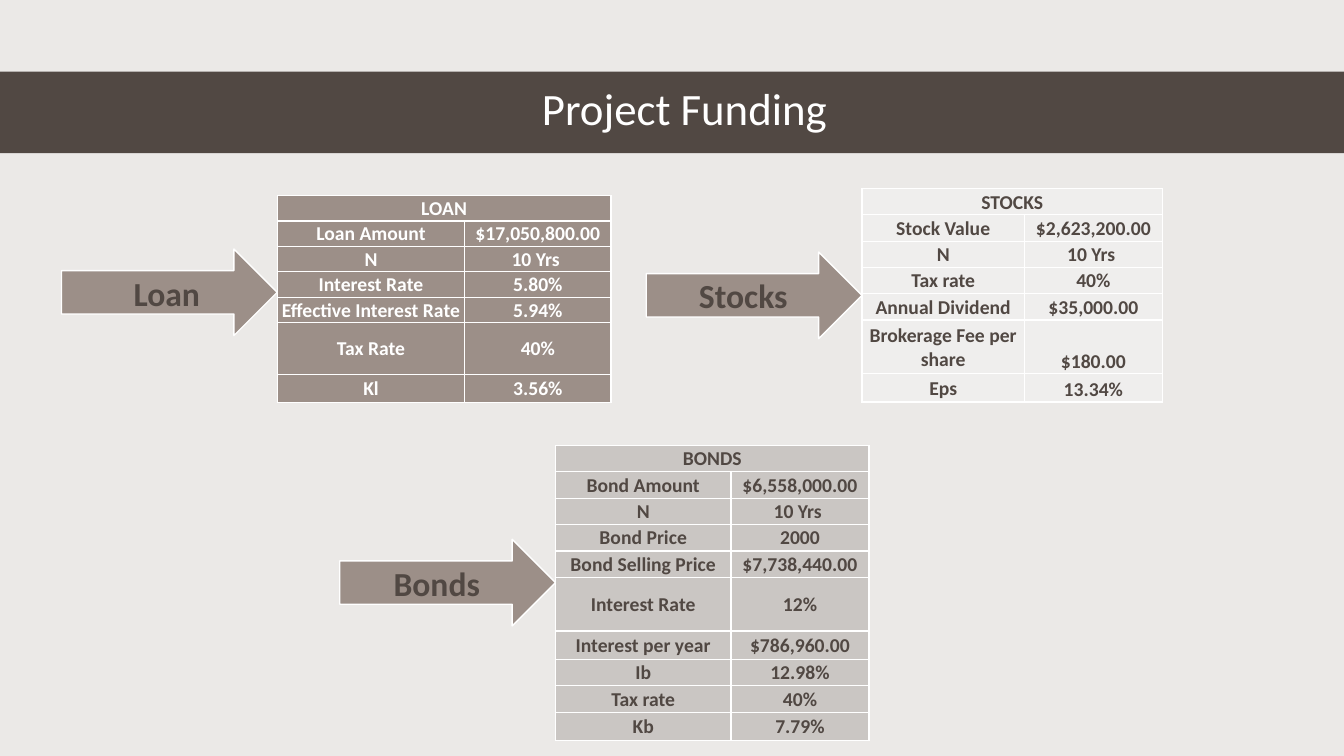
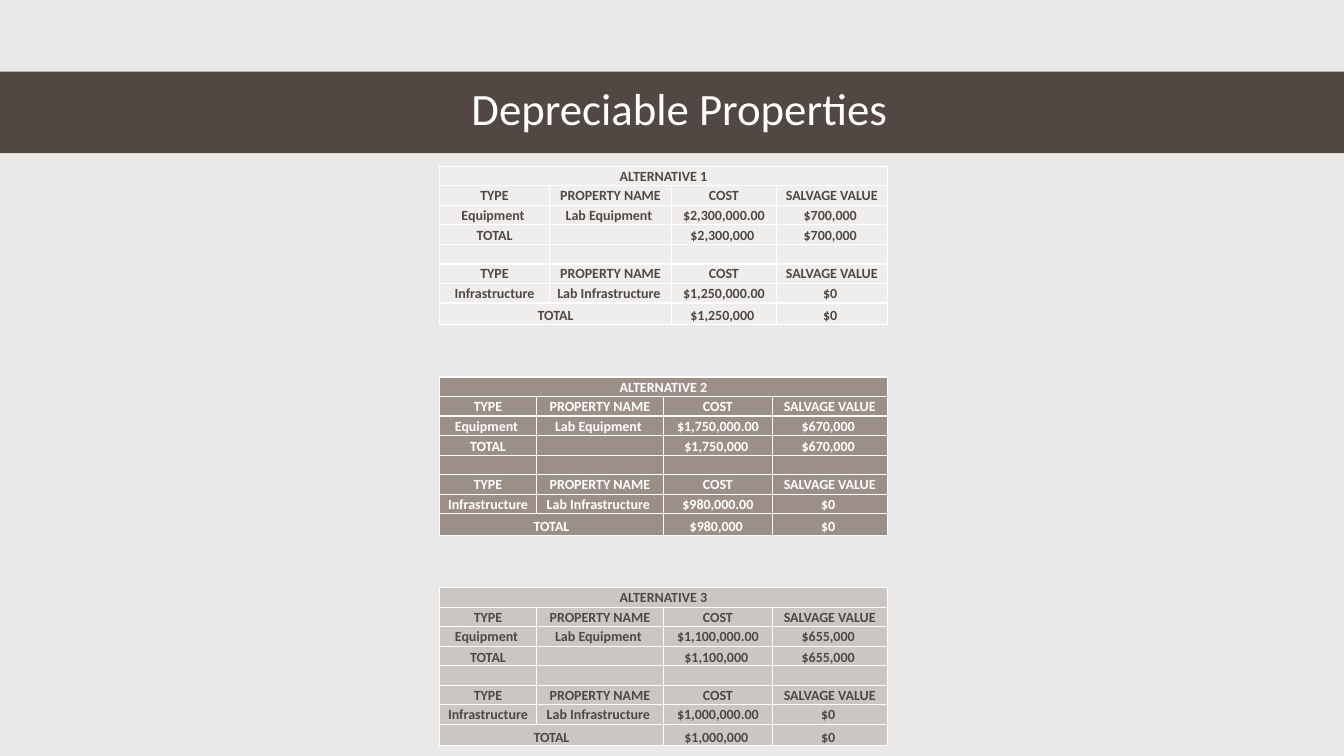
from lxml.etree import SubElement
from pptx import Presentation
from pptx.dml.color import RGBColor
from pptx.enum.shapes import MSO_SHAPE
from pptx.enum.text import MSO_ANCHOR, PP_ALIGN
from pptx.oxml.ns import qn
from pptx.util import Inches, Pt

FONT = "Calibri"
PAPER, DARK, WHITE = "EBE9E7", "514843", "FFFFFF"
TAUPE, PALE, GREY = "9C8F88", "EFEEED", "CAC6C3"

BAND = (0, 0.71, 13.33, 0.81)
TITLE = (0.61, 0.7, 12.26, 0.81)
ARROW_WIDTH, ARROW_HEIGHT = 2.14, 0.86
LOAN_LABEL = (0.78, 2.72, 1.75, 0.43)

# Row heights are relative; they are scaled to the table height.
FUNDING = [
    {
        "label": "Loan", "arrow_top": 2.47, "box": (2.75, 1.94, 3.31, 2.05),
        "columns": (1.86, 1.45), "heights": (0.25,) * 5 + (0.51, 0.27),
        "fill": TAUPE, "ink": WHITE, "bottom": set(),
        "rows": [
            ("LOAN", None),
            ("Loan Amount", "$17,050,800.00"),
            ("N", "10 Yrs "),
            ("Interest Rate", "5.80%"),
            ("Effective Interest Rate", "5.94%"),
            ("Tax Rate", "40%"),
            ("Kl", "3.56%"),
        ],
    },
    {
        "label": "Bonds", "arrow_top": 5.35, "box": (5.51, 4.42, 3.11, 2.93),
        "columns": (1.74, 1.37),
        "heights": (0.26,) * 5 + (0.53, 0.28, 0.26, 0.26, 0.28),
        "fill": GREY, "ink": DARK, "bottom": set(),
        "rows": [
            ("BONDS", None),
            ("Bond Amount", "$6,558,000.00"),
            ("N", "10 Yrs "),
            ("Bond Price", "2000"),
            ("Bond Selling Price", "$7,738,440.00"),
            ("Interest Rate", "12%"),
            ("Interest per year", "$786,960.00"),
            ("Ib", "12.98%"),
            ("Tax rate", "40%"),
            ("Kb", "7.79%"),
        ],
    },
    {
        "label": "Stocks", "arrow_top": 2.5, "box": (8.55, 1.87, 2.99, 2.12),
        "columns": (1.61, 1.37), "heights": (0.26,) * 5 + (0.53, 0.28),
        "fill": PALE, "ink": DARK,
        "bottom": {(0, 0), (1, 1), (4, 1), (5, 1), (6, 1)},
        "rows": [
            ("STOCKS", None),
            ("Stock Value", "$2,623,200.00"),
            ("N", "10 Yrs "),
            ("Tax rate", "40%"),
            ("Annual Dividend", "$35,000.00"),
            ("Brokerage Fee per share", "$180.00"),
            ("Eps", "13.34%"),
        ],
    },
]

# Equipment cost, equipment salvage, infrastructure cost, fill, ink, columns
NARROW_TYPE = (0.96, 1.26, 1.08, 1.14)
ALTERNATIVES = [
    ("$2,300,000", "$700,000", "$1,250,000", PALE, DARK, (1.09, 1.21, 1.04, 1.1)),
    ("$1,750,000", "$670,000", "$980,000", TAUPE, WHITE, NARROW_TYPE),
    ("$1,100,000", "$655,000", "$1,000,000", GREY, DARK, NARROW_TYPE),
]
HEADINGS = ("TYPE", "PROPERTY NAME", "COST", "SALVAGE VALUE")
ALTERNATIVE_LEFT, ALTERNATIVE_TOP, ALTERNATIVE_STEP = 4.36, 1.65, 2.09
ALTERNATIVE_SIZE = (4.44, 1.57)
ALTERNATIVE_HEIGHTS = (0.19,) * 7 + (0.21,)
TOTAL_CELLS = {(row, column) for row in (3, 7) for column in range(4)}


def color(value):
    """Turn a hex string into a colour."""
    return RGBColor.from_string(value)


def place(box):
    """Turn a tuple of inches into lengths."""
    return [Inches(value) for value in box]


def write(frame, text, size, ink, bold=False):
    """Write one centred paragraph and return it."""
    frame.word_wrap = True
    frame.text = text
    para = frame.paragraphs[0]
    para.alignment = PP_ALIGN.CENTER
    for span in para.runs:
        span.font.name = FONT
        span.font.size = Pt(size)
        span.font.bold = bold
        span.font.color.rgb = color(ink)
    return para


def add_block(page, kind, box, fill, line=None):
    """Add a filled preset shape, outlined if a line colour is given."""
    shape = page.shapes.add_shape(kind, *place(box))
    shape.shadow.inherit = False
    shape.fill.solid()
    shape.fill.fore_color.rgb = color(fill)
    if line:
        shape.line.color.rgb = color(line)
        shape.line.width = Pt(1)
    else:
        shape.line.fill.background()
    return shape


def add_label(page, box, text, size, ink, bold=False):
    """Add a vertically centred text box and return its paragraph."""
    frame = page.shapes.add_textbox(*place(box)).text_frame
    frame.vertical_anchor = MSO_ANCHOR.MIDDLE
    para = write(frame, text, size, ink, bold)
    para.line_spacing = 0.9
    return frame, para


def add_page(deck, title):
    """Add a blank page with the title band."""
    page = deck.slides.add_slide(deck.slide_layouts[6])
    add_block(page, MSO_SHAPE.RECTANGLE, BAND, DARK)
    para = add_label(page, TITLE, title, 32, WHITE)[1]
    para.space_after = Pt(6)
    return page


def style_cell(cell, fill):
    """Give a cell thin white borders, a fill and tight margins."""
    properties = cell._tc.get_or_add_tcPr()
    for side in ("a:lnL", "a:lnR", "a:lnT", "a:lnB"):
        line = SubElement(properties, qn(side), w=str(Pt(1)))
        SubElement(SubElement(line, qn("a:solidFill")), qn("a:srgbClr"), val=WHITE)
    cell.fill.solid()
    cell.fill.fore_color.rgb = color(fill)
    cell.margin_left = cell.margin_right = cell.margin_top = Inches(0.01)
    cell.margin_bottom = 0


def add_grid(page, box, columns, heights, rows, fill, ink, size, bottom):
    """Add a table; None in a row joins the cell to its left neighbour."""
    frame = page.shapes.add_table(len(rows), len(columns), *place(box))
    table = frame.table
    table.first_row = table.horz_banding = False
    for column, width in zip(table.columns, columns):
        column.width = Inches(width)
    scale = box[3] / sum(heights)
    for row, height in zip(table.rows, heights):
        row.height = Inches(height * scale)
    for r, values in enumerate(rows):
        for c, text in enumerate(values):
            cell = table.cell(r, c)
            style_cell(cell, fill)
            cell.vertical_anchor = (
                MSO_ANCHOR.BOTTOM if (r, c) in bottom else MSO_ANCHOR.MIDDLE)
            para = write(cell.text_frame, text or "", size, ink, True)
            if not text:
                SubElement(para._p, qn("a:endParaRPr"), sz=str(size * 100))
        joined = values.count(None)
        if joined:
            table.cell(r, 0).merge(table.cell(r, joined))


def add_funding(page, source):
    """Add one funding table with the arrow that points at it."""
    left = source["box"][0] - ARROW_WIDTH
    arrow = add_block(page, MSO_SHAPE.RIGHT_ARROW,
                      (left, source["arrow_top"], ARROW_WIDTH, ARROW_HEIGHT),
                      TAUPE, WHITE)
    if source["label"] == "Loan":
        frame = add_label(page, LOAN_LABEL, "Loan", 24, DARK, True)[0]
        frame.margin_left = frame.margin_right = 0
        frame.margin_top = frame.margin_bottom = 0
    else:
        write(arrow.text_frame, source["label"], 24, DARK, True)
    add_grid(page, source["box"], source["columns"], source["heights"],
             source["rows"], source["fill"], source["ink"], 14, source["bottom"])


def alternative_rows(number, equipment, salvage, infrastructure):
    """List the table rows of one alternative."""
    return [
        (f"ALTERNATIVE {number}", None, None, None),
        HEADINGS,
        ("Equipment ", "Lab Equipment ", f"{equipment}.00", f"{salvage} "),
        ("TOTAL", "", f"{equipment} ", f"{salvage} "),
        ("",) * 4,
        HEADINGS,
        ("Infrastructure", "Lab Infrastructure ", f"{infrastructure}.00", "$0 "),
        ("TOTAL", None, f"{infrastructure} ", "$0 "),
    ]


deck = Presentation()
deck.slide_width, deck.slide_height = Inches(13.33), Inches(7.5)
backdrop = deck.slide_master.background.fill
backdrop.solid()
backdrop.fore_color.rgb = color(PAPER)

funding_page = add_page(deck, " Project Funding")
for source in FUNDING:
    add_funding(funding_page, source)

property_page = add_page(deck, "Depreciable Properties")
for index, (equipment, salvage, infrastructure, fill, ink, columns) in enumerate(ALTERNATIVES):
    top = ALTERNATIVE_TOP + index * ALTERNATIVE_STEP
    rows = alternative_rows(index + 1, equipment, salvage, infrastructure)
    add_grid(property_page, (ALTERNATIVE_LEFT, top, *ALTERNATIVE_SIZE), columns,
             ALTERNATIVE_HEIGHTS, rows, fill, ink, 10, TOTAL_CELLS)

deck.save("out.pptx")
